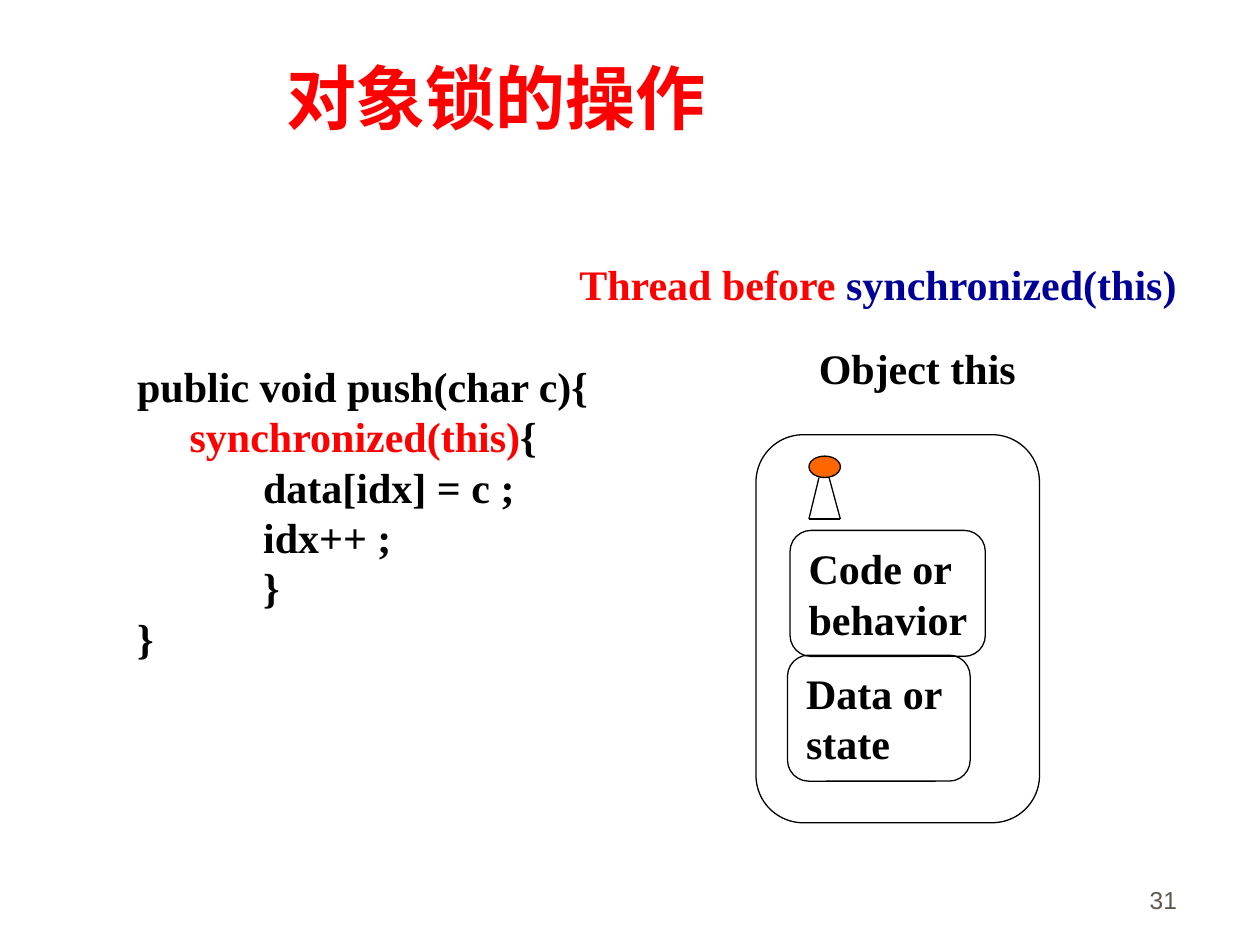
from lxml import etree
from pptx import Presentation
from pptx.dml.color import RGBColor
from pptx.enum.shapes import MSO_CONNECTOR, MSO_SHAPE
from pptx.enum.text import MSO_ANCHOR, PP_ALIGN
from pptx.oxml.ns import qn
from pptx.util import Inches, Pt

ROUNDED, OVAL = MSO_SHAPE.ROUNDED_RECTANGLE, MSO_SHAPE.OVAL
STRAIGHT = MSO_CONNECTOR.STRAIGHT
TOP, BOTTOM = MSO_ANCHOR.TOP, MSO_ANCHOR.BOTTOM
LEFT, RIGHT = PP_ALIGN.LEFT, PP_ALIGN.RIGHT

BLACK, RED, NAVY, ORANGE, GRAY = "000000", "FF0000", "000099", "FF6600", "5E574E"
SERIF, SANS = "Times New Roman", "Arial"
CORNER = 0.167
LINE_PITCH = 1.2
CODE_TAB = Inches(1)

CODE = [
    [("public void push(char c){", BLACK)],
    [("     ", BLACK), ("synchronized(this)", RED), ("{", BLACK)],
    [("\tdata[idx] = c ;", BLACK)],
    [("\tidx++ ;", BLACK)],
    [("\t}", BLACK)],
    [("}", BLACK)],
]


def color(hex_value):
    return RGBColor.from_string(hex_value)


def place(shape, left, top, width, height):
    shape.left, shape.top = Inches(left), Inches(top)
    shape.width, shape.height = Inches(width), Inches(height)


def add_tab_stop(paragraph, position):
    tabs = etree.SubElement(paragraph._p.get_or_add_pPr(), qn("a:tabLst"))
    etree.SubElement(tabs, qn("a:tab"), pos=str(position), algn="l")


def write_lines(shape, lines, size=24):
    """Fill a shape with bold serif lines, each a list of (text, colour) pieces."""
    frame = shape.text_frame
    frame.word_wrap = True
    frame.margin_right = 0  # the boxes fit their text tightly
    frame.vertical_anchor = TOP
    for index, pieces in enumerate(lines):
        paragraph = frame.paragraphs[0] if index == 0 else frame.add_paragraph()
        paragraph.alignment = LEFT
        paragraph.line_spacing = Pt(size * LINE_PITCH)
        if pieces[0][0].startswith("\t"):
            add_tab_stop(paragraph, CODE_TAB)
        paragraph.font.name = SERIF
        paragraph.font.size = Pt(size)
        paragraph.font.bold = True
        for text, hex_value in pieces:
            run = paragraph.add_run()
            run.text = text
            run.font.color.rgb = color(hex_value)


def add_label(slide, box, lines):
    label = slide.shapes.add_textbox(*map(Inches, box))
    write_lines(label, lines)


def add_outline(slide, kind, box, fill=None):
    outline = slide.shapes.add_shape(kind, *map(Inches, box))
    outline.shadow.inherit = False
    outline.line.color.rgb = color(BLACK)
    outline.line.width = Pt(0.75)
    if fill:
        outline.fill.solid()
        outline.fill.fore_color.rgb = color(fill)
    else:
        outline.fill.background()
    if kind == ROUNDED:
        outline.adjustments[0] = CORNER
    return outline


def add_line(slide, start, end):
    line = slide.shapes.add_connector(STRAIGHT, *map(Inches, start + end))
    line.line.color.rgb = color(BLACK)
    line.line.width = Pt(0.75)
    etree.SubElement(line._element.spPr, qn("a:effectLst"))


def add_lock_flag(slide):
    corners = [(6.5, 3.79), (6.42, 4.12), (6.67, 4.12), (6.58, 3.79)]
    for start, end in zip(corners, corners[1:]):
        add_line(slide, start, end)
    add_outline(slide, OVAL, (6.42, 3.62, 0.25, 0.17), ORANGE)


def add_object_diagram(slide):
    parts = [
        ((6.27, 4.21, 1.55, 1), ("Code or", "behavior")),
        ((6.25, 5.2, 1.45, 1), ("Data or", "state")),
    ]
    for box, words in parts:
        part = add_outline(slide, ROUNDED, box)
        write_lines(part, [[(word, BLACK)] for word in words])
    add_lock_flag(slide)
    add_outline(slide, ROUNDED, (6, 3.45, 2.25, 3.08))
    add_label(slide, (6.4, 2.67, 1.76, 0.5), [[("Object this", BLACK)]])


def add_page_number(slide, number):
    box = slide.shapes.add_textbox(*map(Inches, (7.36, 6.81, 2.08, 0.5)))
    frame = box.text_frame
    frame.word_wrap = True
    frame.vertical_anchor = BOTTOM
    paragraph = frame.paragraphs[0]
    paragraph.text = number
    paragraph.alignment = RIGHT
    paragraph.font.name = SANS
    paragraph.font.size = Pt(14)
    paragraph.font.color.rgb = color(GRAY)


def main():
    prs = Presentation()
    prs.slide_width, prs.slide_height = Inches(10), Inches(7.5)
    slide = prs.slides.add_slide(prs.slide_layouts[5])

    title = slide.shapes.title
    place(title, 2.17, 0.38, 3.53, 0.77)
    write_lines(title, [[("对象锁的操作", RED)]], size=40)

    add_object_diagram(slide)
    add_label(slide, (4.5, 2, 4.96, 0.5),
              [[("Thread before", RED), (" synchronized(this)", NAVY)]])
    add_label(slide, (0.99, 2.81, 3.78, 2.5), CODE)
    add_page_number(slide, "31")
    prs.save("out.pptx")


if __name__ == "__main__":
    main()
